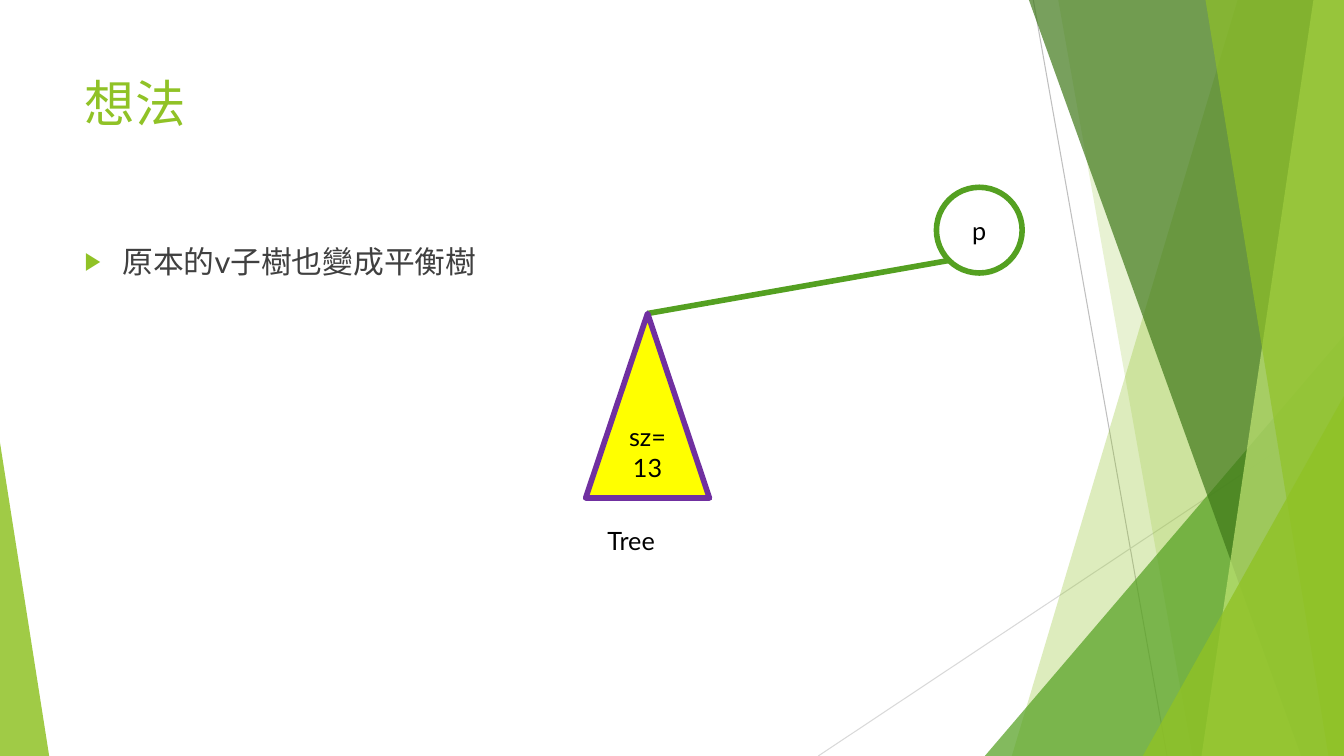
from math import sqrt
from lxml.etree import SubElement
from pptx import Presentation
from pptx.dml.color import RGBColor
from pptx.enum.shapes import MSO_CONNECTOR, MSO_SHAPE
from pptx.enum.text import MSO_ANCHOR, MSO_AUTO_SIZE, PP_ALIGN
from pptx.oxml.ns import qn
from pptx.util import Cm, Pt

LIME = RGBColor(0x90, 0xC2, 0x26)
PALE_LIME = RGBColor(0xC0, 0xE4, 0x74)
GREEN = RGBColor(0x54, 0xA0, 0x21)
DARK_GREEN = RGBColor(0x3F, 0x78, 0x19)
YELLOW = RGBColor(0xFF, 0xFF, 0x00)
PURPLE = RGBColor(0x70, 0x30, 0xA0)
GREY = RGBColor(0xBF, 0xBF, 0xBF)
LIGHT_GREY = RGBColor(0xD9, 0xD9, 0xD9)
TEXT_GREY = RGBColor(0x40, 0x40, 0x40)
WHITE = RGBColor(0xFF, 0xFF, 0xFF)
BLACK = RGBColor(0, 0, 0)
FONT = "Lato"

# Content
TITLE = "想法"
BULLET = "原本的v子樹也變成平衡樹"
NODE_TEXT = "p"
TREE_TEXT = "sz=\n13"
TREE_LABEL = "Tree"

# Places in centimetres: left, top, width, height
WIDTH, HEIGHT = 33.87, 19.05
TITLE_PLACE = (1.88, 1.7, 23.88, 3.66)
BODY_PLACE = (1.88, 5.99, 23.88, 2.36)
NODE_PLACE = (23.6, 4.72, 2.16, 2.16)
TREE_PLACE = (14.76, 7.9, 3.12, 4.65)
LABEL_PLACE = (15.06, 13.11, 1.78, 1.02)

# Background, back to front
HAIRLINES = [
    ((26.04, 0), (29.41, HEIGHT), GREY),
    ((WIDTH, 10.24), (20.62, HEIGHT), LIGHT_GREY),
]
# Bands run to the right edge: left at the top, left at the bottom, colour, opacity
# Corners are triangles: left, top, width, apex, colour, opacity
BACKDROP = [
    ("band", 31.19, 25.5, LIME, 30),
    ("band", 26.67, 30.05, LIME, 20),
    ("corner", 24.82, 8.46, WIDTH - 24.82, 1, GREEN, 72),
    ("band", 25.93, 32.79, DARK_GREEN, 70),
    ("band", 33.1, 30.28, PALE_LIME, 70),
    ("band", 30.38, 33.48, LIME, 65),
    ("corner", 28.8, 9.98, WIDTH - 28.8, 1, LIME, 80),
    ("corner", 0, 11.15, 1.24, 0, LIME, 85),
]

deck = Presentation()
deck.slide_width, deck.slide_height = Cm(WIDTH), Cm(HEIGHT)
page = deck.slides.add_slide(deck.slide_layouts[1])


def lengths(values):
    return [Cm(value) for value in values]


def write(box, text, size, colour, align=PP_ALIGN.LEFT, anchor=MSO_ANCHOR.TOP):
    frame = box.text_frame
    frame.text = text
    frame.vertical_anchor = anchor
    frame.auto_size = MSO_AUTO_SIZE.NONE
    for paragraph in frame.paragraphs:
        paragraph.alignment = align
        for span in paragraph.runs:
            span.font.name = FONT
            span.font.size = Pt(size)
            span.font.color.rgb = colour


def add_line(start, end, colour, weight):
    line = page.shapes.add_connector(MSO_CONNECTOR.STRAIGHT, *lengths(start + end))
    line.line.color.rgb = colour
    line.line.width = Pt(weight)
    SubElement(line.element.spPr, qn("a:effectLst"))


def paint(shape, fill, opacity=100, outline=None):
    shape.shadow.inherit = False
    shape.fill.solid()
    shape.fill.fore_color.rgb = fill
    if opacity < 100:
        colour = shape.element.spPr.find(qn("a:solidFill"))[0]
        SubElement(colour, qn("a:alpha"), val=str(opacity * 1000))
    if outline is None:
        shape.line.fill.background()
    else:
        shape.line.color.rgb = outline
        shape.line.width = Pt(4)


def add_band(top_left, bottom_left, colour, opacity):
    outline = page.shapes.build_freeform(Cm(top_left), 0)
    corners = [(WIDTH, 0), (WIDTH, HEIGHT), (bottom_left, HEIGHT)]
    outline.add_line_segments([lengths(corner) for corner in corners], close=True)
    paint(outline.convert_to_shape(), colour, opacity)


def add_corner(left, top, width, apex, colour, opacity):
    place = lengths((left, top, width, HEIGHT - top))
    triangle = page.shapes.add_shape(MSO_SHAPE.ISOSCELES_TRIANGLE, *place)
    triangle.adjustments[0] = apex
    paint(triangle, colour, opacity)


def add_node(kind, place, fill, outline, text):
    node = page.shapes.add_shape(kind, *lengths(place))
    paint(node, fill, outline=outline)
    write(node, text, 18, BLACK, PP_ALIGN.CENTER, MSO_ANCHOR.MIDDLE)


# Backdrop
for start, end, colour in HAIRLINES:
    add_line(start, end, colour, 0.75)
for kind, *details in BACKDROP:
    if kind == "band":
        add_band(*details)
    else:
        add_corner(*details)

# Title and bullet
title, body = page.shapes.title, page.placeholders[1]
for box, place in ((title, TITLE_PLACE), (body, BODY_PLACE)):
    box.left, box.top, box.width, box.height = lengths(place)
write(title, TITLE, 36, LIME)
write(body, BULLET, 22, TEXT_GREY)
item = body.text_frame.paragraphs[0]
item.space_before = Pt(10)
properties = item._p.get_or_add_pPr()
properties.set("marL", str(Cm(0.95)))
properties.set("indent", str(Cm(-0.95)))
bullet_colour = SubElement(properties, qn("a:buClr"))
SubElement(bullet_colour, qn("a:srgbClr"), val=str(LIME))
SubElement(properties, qn("a:buSzPct"), val="80000")
SubElement(properties, qn("a:buChar"), char="▶")

# Edge from the tree's apex to the lower left of its parent
tree_left, tree_top, tree_width, _ = TREE_PLACE
node_left, node_top, node_size, _ = NODE_PLACE
radius, diagonal = node_size / 2, sqrt(0.5)
apex = (tree_left + tree_width / 2, tree_top)
joint = (node_left + radius * (1 - diagonal), node_top + radius * (1 + diagonal))
add_line(apex, joint, GREEN, 4)

# Parent node, subtree and its label
add_node(MSO_SHAPE.OVAL, NODE_PLACE, WHITE, GREEN, NODE_TEXT)
add_node(MSO_SHAPE.ISOSCELES_TRIANGLE, TREE_PLACE, YELLOW, PURPLE, TREE_TEXT)
label = page.shapes.add_textbox(*lengths(LABEL_PLACE))
write(label, TREE_LABEL, 18, BLACK)
label.text_frame.word_wrap = False

deck.save("out.pptx")
